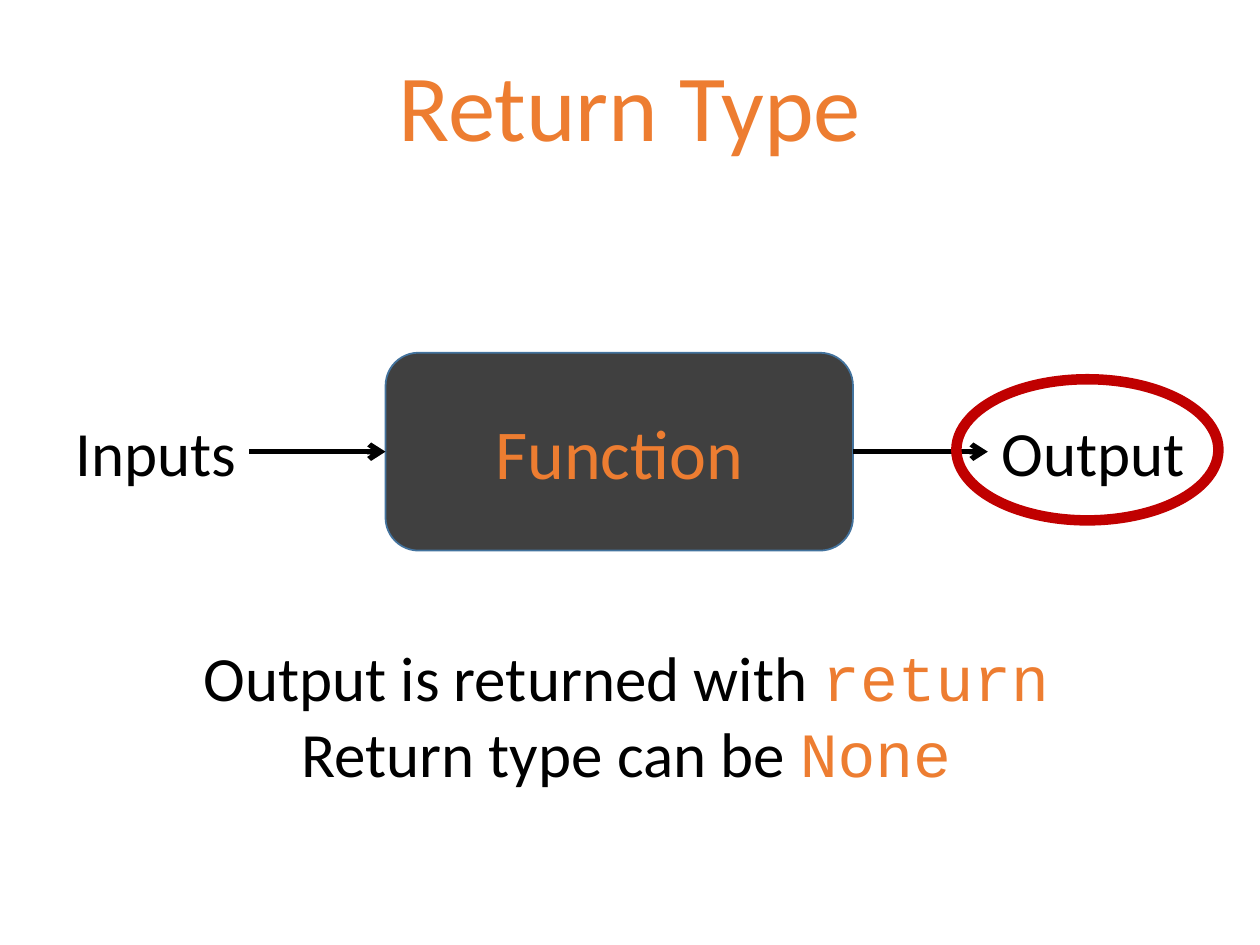
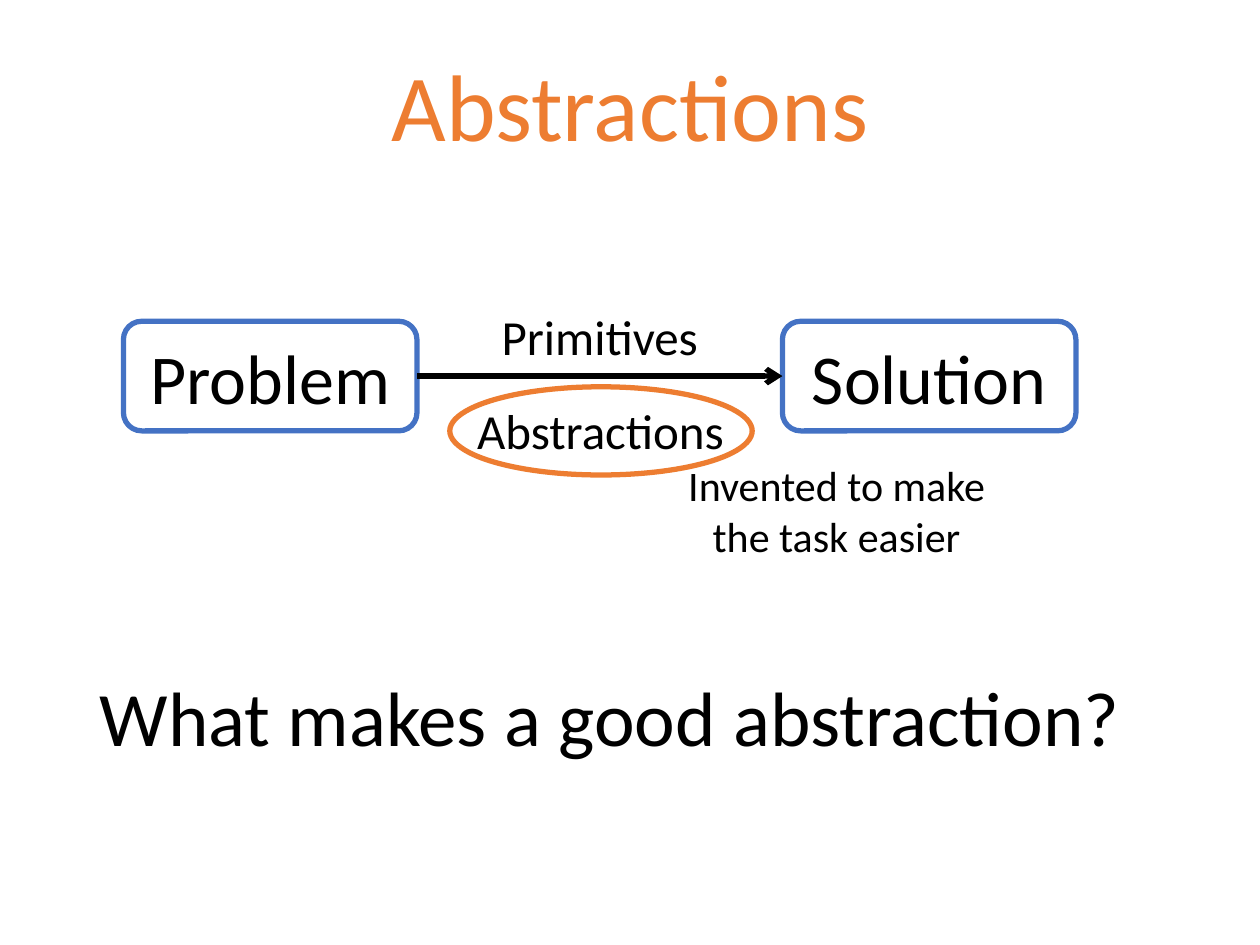
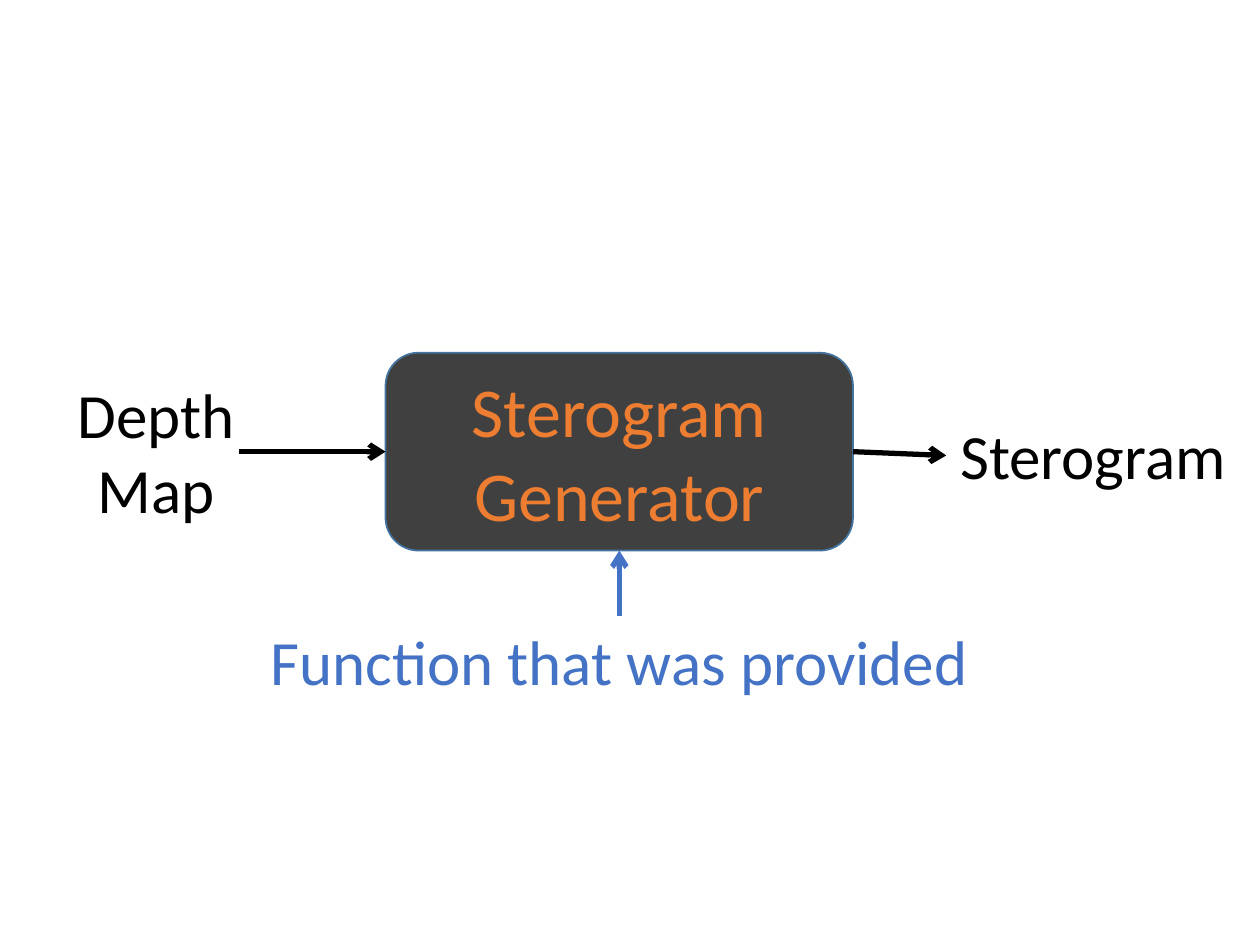
from lxml import etree
from pptx import Presentation
from pptx.dml.color import RGBColor
from pptx.enum.shapes import MSO_CONNECTOR, MSO_SHAPE
from pptx.enum.text import MSO_ANCHOR, MSO_AUTO_SIZE, PP_ALIGN
from pptx.oxml.ns import qn
from pptx.util import Inches, Pt

ROUND, OVAL = MSO_SHAPE.ROUNDED_RECTANGLE, MSO_SHAPE.OVAL
STRAIGHT = MSO_CONNECTOR.STRAIGHT
MIDDLE, TOP_ANCHOR = MSO_ANCHOR.MIDDLE, MSO_ANCHOR.TOP
CENTER, LEFT_ALIGN = PP_ALIGN.CENTER, PP_ALIGN.LEFT
NO_FIT, GROW = MSO_AUTO_SIZE.NONE, MSO_AUTO_SIZE.SHAPE_TO_FIT_TEXT
TOP, LEFT, BOTTOM, RIGHT = range(4)

BLACK = RGBColor(0x00, 0x00, 0x00)
ORANGE = RGBColor(0xED, 0x7D, 0x31)
BLUE = RGBColor(0x44, 0x72, 0xC4)
EDGE_BLUE = RGBColor(0x43, 0x73, 0x9E)
GREY = RGBColor(0x40, 0x40, 0x40)
RED = RGBColor(0xC0, 0x00, 0x00)
SANS, MONO = "Calibri", "Courier New"

SLIDE_W, SLIDE_H = 10, 7.5
TITLE_ONLY, TITLE_AND_BODY, BLANK = 5, 1, 6
TITLE_AT = (0.69, 0.4, 8.62, 0.96)
QUESTION_AT = (0.69, 5.29, 8.62, 0.87)

# Function diagram: one box with its centre lines
FUNCTION_AT = (3.06, 2.8, 3.71, 1.57)
MID_X = FUNCTION_AT[0] + FUNCTION_AT[2] / 2
MID_Y = FUNCTION_AT[1] + FUNCTION_AT[3] / 2

# Problem and solution boxes: equal size, one row
STEP_W, STEP_H, STEP_TOP = 2.33, 0.87, 2.55
STEPS = [("Problem", 0.98), ("Solution", 6.21)]

# Paragraphs are lists of (text, font, colour)
RETURN_NOTES = [
    [("Output is returned with ", SANS, BLACK), ("return", MONO, ORANGE)],
    [("Return type can be ", SANS, BLACK), ("None", MONO, ORANGE)],
]
# Labels between problem and solution: text, place, size, wrap
ABSTRACTION_LABELS = [
    ("Primitives", (3.87, 2.38, 1.78, 0.57), 28, False),
    ("Abstractions", (3.67, 3.13, 2.19, 0.57), 28, False),
    ("Invented to make the task easier", (5.22, 3.6, 2.84, 0.91), 24, True),
]


def plain(*lines, color=BLACK):
    return [[(line, SANS, color)] for line in lines]


def inches(values):
    return [Inches(v) for v in values]


def write(shape, paragraphs, size, align=CENTER, anchor=MIDDLE, spacing=None):
    tf = shape.text_frame
    tf.vertical_anchor = anchor
    for i, runs in enumerate(paragraphs):
        p = tf.paragraphs[0] if i == 0 else tf.add_paragraph()
        p.alignment = align
        if spacing:
            p.line_spacing = spacing
        for text, font, color in runs:
            r = p.add_run()
            r.text = text
            r.font.name, r.font.size = font, Pt(size)
            r.font.color.rgb = color
    return tf


def fill_placeholder(ph, at, text, size, color, align):
    ph.left, ph.top, ph.width, ph.height = inches(at)
    tf = write(ph, plain(text, color=color), size, align, spacing=0.9)
    tf.word_wrap, tf.auto_size = True, NO_FIT
    return tf


def new_slide(prs, layout, title=None):
    s = prs.slides.add_slide(prs.slide_layouts[layout])
    if title:
        fill_placeholder(s.shapes.title, TITLE_AT, title, 54, ORANGE, CENTER)
    return s


def add_label(s, at, paragraphs, size=36, wrap=False):
    tb = s.shapes.add_textbox(*inches(at))
    tf = write(tb, paragraphs, size, anchor=TOP_ANCHOR)
    tf.word_wrap, tf.auto_size = wrap, GROW
    return tb


def add_outline(s, kind, at, color, width, fill=None):
    sp = s.shapes.add_shape(kind, *inches(at))
    sp.shadow.inherit = False
    if fill is None:
        sp.fill.background()
    else:
        sp.fill.solid()
        sp.fill.fore_color.rgb = fill
    sp.line.color.rgb, sp.line.width = color, Pt(width)
    return sp


def add_function_box(s, text):
    sp = add_outline(s, ROUND, FUNCTION_AT, EDGE_BLUE, 1, GREY)
    write(sp, plain(text, color=ORANGE), 40)
    return sp


def add_arrow(s, start, end, color=BLACK):
    """Each end is a (x, y) point or a (shape, side) pair."""
    c = s.shapes.add_connector(STRAIGHT, 0, 0, 0, 0)
    if isinstance(start[0], float):
        c.begin_x, c.begin_y = inches(start)
    else:
        c.begin_connect(*start)
    c.end_connect(*end)
    c.line.color.rgb, c.line.width = color, Pt(3)
    ln = c.line._get_or_add_ln()
    etree.SubElement(ln, qn("a:tailEnd"), type="arrow")
    etree.SubElement(ln.getparent(), qn("a:effectLst"))


def build_return_type(prs):
    s = new_slide(prs, TITLE_ONLY, "Return Type")
    inputs = add_label(s, (0.49, 3.23, 1.49, 0.71), plain("Inputs"))
    box = add_function_box(s, "Function")
    output = add_label(s, (7.84, 3.23, 1.67, 0.71), plain("Output"))
    add_arrow(s, (inputs, RIGHT), (box, LEFT))
    add_arrow(s, (box, RIGHT), (output, LEFT))
    add_label(s, (1.16, 5.02, 7.62, 1.31), RETURN_NOTES, wrap=True)
    add_outline(s, OVAL, (7.59, 3.01, 2.08, 1.12), RED, 6)


def build_abstractions(prs):
    s = new_slide(prs, TITLE_AND_BODY, "Abstractions")
    tf = fill_placeholder(s.placeholders[1], QUESTION_AT,
                          "What makes a good abstraction?", 44, BLACK, LEFT_ALIGN)
    pPr = tf.paragraphs[0]._p.get_or_add_pPr()
    pPr.set("marL", "0")
    pPr.set("indent", "0")
    etree.SubElement(pPr, qn("a:buNone"))

    boxes = []
    for text, left in STEPS:
        sp = add_outline(s, ROUND, (left, STEP_TOP, STEP_W, STEP_H), BLUE, 3)
        write(sp, plain(text), 40)
        boxes.append(sp)
    add_arrow(s, (boxes[0], RIGHT), (boxes[1], LEFT))
    for text, at, size, wrap in ABSTRACTION_LABELS:
        add_label(s, at, plain(text), size, wrap)
    add_outline(s, OVAL, (3.57, 3.07, 2.4, 0.7), ORANGE, 3)


def build_generator(prs):
    s = new_slide(prs, BLANK)
    add_label(s, (0.51, 2.93, 1.46, 1.31), plain("Depth", "Map"))
    box = add_function_box(s, "Sterogram Generator")
    result = add_label(s, (7.51, 3.26, 2.33, 0.71), plain("Sterogram"))
    add_arrow(s, (1.9, MID_Y), (box, LEFT))
    add_arrow(s, (box, RIGHT), (result, LEFT))
    # Provided function, centred below the box
    width = 5.79
    note = add_label(s, (MID_X - width / 2, 4.89, width, 0.71),
                     plain("Function that was provided", color=BLUE))
    add_arrow(s, (note, TOP), (box, BOTTOM), BLUE)


def main():
    prs = Presentation()
    prs.slide_width, prs.slide_height = inches((SLIDE_W, SLIDE_H))
    build_return_type(prs)
    build_abstractions(prs)
    build_generator(prs)
    prs.save("out.pptx")


if __name__ == "__main__":
    main()
